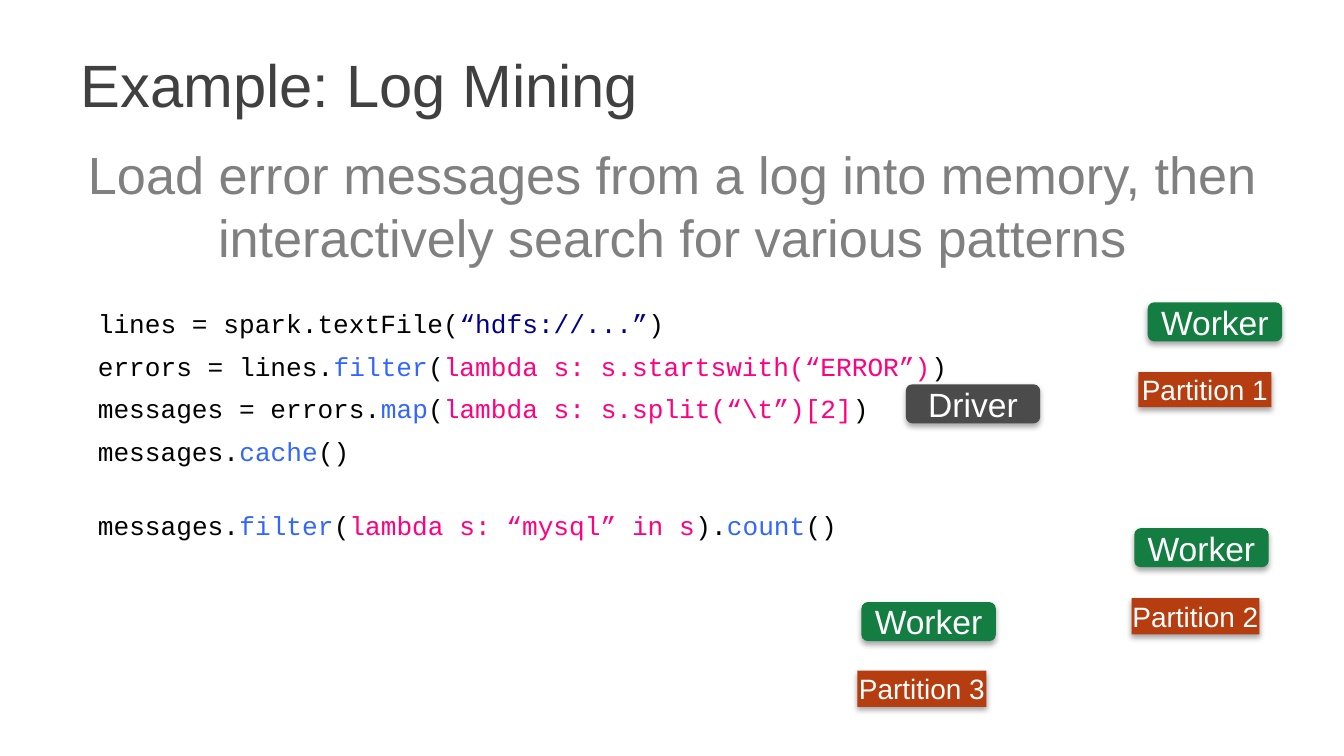
"""Build the log mining example slide with code, a driver and three workers."""
import pptx
import pptx.dml.color
import pptx.enum.shapes
import pptx.enum.text
import pptx.oxml
import pptx.util
from pptx.util import Inches

RGBColor = pptx.dml.color.RGBColor
TITLE_GRAY = RGBColor(0x40, 0x40, 0x40)
BODY_GRAY = RGBColor(0x80, 0x80, 0x80)
BLACK = RGBColor(0x00, 0x00, 0x00)
WHITE = RGBColor(0xFF, 0xFF, 0xFF)
NAVY = RGBColor(0x00, 0x00, 0x90)
BLUE = RGBColor(0x33, 0x66, 0xFF)
PINK = RGBColor(0xFF, 0x00, 0x80)
GREEN = RGBColor(0x14, 0x7D, 0x41)
DRIVER_GRAY = RGBColor(0x4B, 0x4B, 0x4B)
RUST = RGBColor(0xB6, 0x3D, 0x0F)

ROUNDED = pptx.enum.shapes.MSO_SHAPE.ROUNDED_RECTANGLE
RECTANGLE = pptx.enum.shapes.MSO_SHAPE.RECTANGLE
CENTER = pptx.enum.text.PP_ALIGN.CENTER
MIDDLE = pptx.enum.text.MSO_ANCHOR.MIDDLE
SHADOW_XML = (
    '<a:effectLst xmlns:a="http://schemas.openxmlformats.org/drawingml/2006/main">'
    '<a:outerShdw blurRad="39370" dist="22860" dir="5400000" rotWithShape="0">'
    '<a:srgbClr val="000000"><a:alpha val="35000"/></a:srgbClr>'
    "</a:outerShdw></a:effectLst>"
)


def format_font(font, name, size, color):
    font.name = name
    font.size = pptx.util.Pt(size)
    font.color.rgb = color


def place(shape, left, top, width, height):
    shape.left, shape.top = Inches(left), Inches(top)
    shape.width, shape.height = Inches(width), Inches(height)


presentation = pptx.Presentation()
presentation.slide_width = Inches(10)
presentation.slide_height = Inches(10 * 9 / 16)
slide = presentation.slides.add_slide(presentation.slide_layouts[1])

title = slide.shapes.title
place(title, 0.5, 0.15, 9, 0.94)
title.text_frame.text = "Example: Log Mining"
title.text_frame.vertical_anchor = MIDDLE
paragraph = title.text_frame.paragraphs[0]
paragraph.alignment = pptx.enum.text.PP_ALIGN.LEFT
format_font(paragraph.runs[0].font, "Arial", 32, TITLE_GRAY)

body = slide.placeholders[1]
place(body, 0.5, 1.01, 9, 1.12)
body.text_frame.text = (
    "Load error messages from a log into memory, then "
    "interactively search for various patterns"
)
paragraph = body.text_frame.paragraphs[0]
paragraph.alignment = CENTER
paragraph.space_before = pptx.util.Pt(0)
properties = paragraph._p.get_or_add_pPr()
properties.set("marL", "0")
properties.set("indent", "0")
properties.append(pptx.oxml.parse_xml(
    '<a:buNone xmlns:a="http://schemas.openxmlformats.org/drawingml/2006/main"/>'
))
format_font(paragraph.runs[0].font, "Arial", 28, BODY_GRAY)

setup_code = [
    [("lines = spark.textFile(", BLACK), ("“hdfs://...”", NAVY), (")", BLACK)],
    [("errors = lines.", BLACK), ("filter", BLUE), ("(", BLACK),
     ("lambda s: s.startswith(“ERROR”)", PINK), (")", BLACK)],
    [("messages = errors.", BLACK), ("map", BLUE), ("(", BLACK),
     ("lambda s: s.split(“\\t”)[2]", PINK), (")", BLACK)],
    [("messages.", BLACK), ("cache", BLUE), ("()", BLACK)],
]
query_code = [
    [("messages.", BLACK), ("filter", BLUE), ("(", BLACK),
     ("lambda s: “mysql” in s", PINK), (").", BLACK), ("count", BLUE), ("()", BLACK)],
]
for top, width, height, code_lines in [
    (2.24, 8.44, 1.3, setup_code),
    (3.74, 6.98, 0.34, query_code),
]:
    code_box = slide.shapes.add_textbox(
        Inches(0.63), Inches(top), Inches(width), Inches(height))
    text_frame = code_box.text_frame
    text_frame.word_wrap = True
    for index, code_line in enumerate(code_lines):
        paragraph = text_frame.add_paragraph() if index else text_frame.paragraphs[0]
        paragraph.space_before = pptx.util.Pt(6 if index else 0)
        for text, color in code_line:
            run = paragraph.add_run()
            run.text = text
            format_font(run.font, "Courier New", 14, color)

for kind, text, size, fill, left, top, width, height in [
    (ROUNDED, "Worker", 18, GREEN, 8.54, 2.25, 1, 0.29),
    (ROUNDED, "Worker", 18, GREEN, 6.41, 4.48, 1, 0.29),
    (ROUNDED, "Worker", 18, GREEN, 8.44, 3.93, 1, 0.29),
    (ROUNDED, "Driver", 18, DRIVER_GRAY, 6.74, 2.86, 1, 0.29),
    (RECTANGLE, "Partition 1", 15, RUST, 8.47, 2.77, 0.99, 0.26),
    (RECTANGLE, "Partition 2", 15, RUST, 8.42, 4.45, 0.95, 0.27),
    (RECTANGLE, "Partition 3", 15, RUST, 6.38, 4.99, 0.96, 0.27),
]:
    node = slide.shapes.add_shape(
        kind, Inches(left), Inches(top), Inches(width), Inches(height))
    node.fill.solid()
    node.fill.fore_color.rgb = fill
    node.line.fill.background()
    node._element.spPr.append(pptx.oxml.parse_xml(SHADOW_XML))
    text_frame = node.text_frame
    text_frame.margin_left = text_frame.margin_right = 0
    text_frame.vertical_anchor = MIDDLE
    text_frame.text = text
    paragraph = text_frame.paragraphs[0]
    paragraph.alignment = CENTER
    format_font(paragraph.runs[0].font, "Arial", size, WHITE)

presentation.save("out.pptx")
